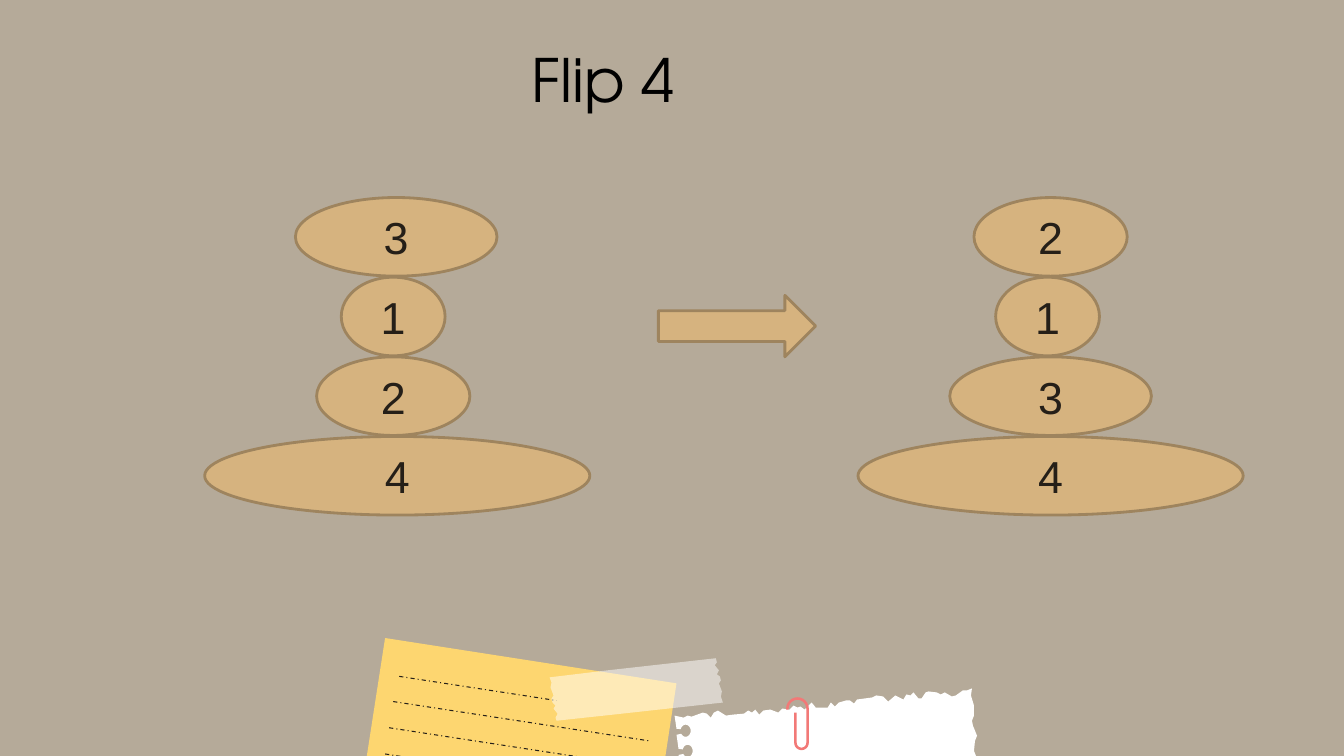
from math import cos, radians, sin

from lxml import etree
from pptx import Presentation
from pptx.dml.color import RGBColor
from pptx.enum.dml import MSO_LINE
from pptx.enum.shapes import MSO_CONNECTOR, MSO_SHAPE
from pptx.enum.text import MSO_ANCHOR, PP_ALIGN
from pptx.oxml.ns import qn
from pptx.util import Inches, Pt

ELLIPSE, RIGHT_ARROW = MSO_SHAPE.OVAL, MSO_SHAPE.RIGHT_ARROW
STRAIGHT, DASH_DOT = MSO_CONNECTOR.STRAIGHT, MSO_LINE.DASH_DOT
CENTER, MIDDLE = PP_ALIGN.CENTER, MSO_ANCHOR.MIDDLE

COLORS = {name: RGBColor.from_string(value) for name, value in {
    "background": "B5AA99", "note": "FDD670", "paper": "FFFFFF", "clip": "F27977",
    "pancake": "D6B37F", "crust": "9E845E", "ink": "251F18", "title": "000000",
}.items()}

presentation = Presentation()
presentation.slide_width = Inches(13.33)
presentation.slide_height = Inches(7.5)
slide = presentation.slides.add_slide(presentation.slide_layouts[6])
slide.background.fill.solid()
slide.background.fill.fore_color.rgb = COLORS["background"]
shapes = slide.shapes


def add_outline(points, fill=None, close=True):
    corners = [(Inches(x), Inches(y)) for x, y in points]
    builder = shapes.build_freeform(*corners[0])
    builder.add_line_segments(corners[1:], close=close)
    shape = builder.convert_to_shape()
    shape.shadow.inherit = False
    shape.line.fill.background()
    if fill:
        shape.fill.solid()
        shape.fill.fore_color.rgb = COLORS[fill]
    else:
        shape.fill.background()
    return shape


def write_text(shape, text, font="Arial", size=32, color="ink", anchor=MIDDLE):
    frame = shape.text_frame
    frame.word_wrap = True
    frame.vertical_anchor = anchor
    paragraph = frame.paragraphs[0]
    paragraph.alignment = CENTER
    run = paragraph.add_run()
    run.text = text
    run.font.name = font
    run.font.size = Pt(size)
    run.font.color.rgb = COLORS[color]


# Yellow note with dashed rules
add_outline([(3.82, 6.33), (6.71, 6.78), (6.5, 8.16), (3.58, 7.88)], fill="note")
note_rules = [(3.96, 6.71, 5.52, 6.95)]
note_rules += [(3.9 - 0.04 * i, 6.96 + 0.26 * i, 6.44 - 0.04 * i, 7.35 + 0.26 * i)
               for i in range(3)]
for ends in note_rules:
    rule = shapes.add_connector(STRAIGHT, *[Inches(value) for value in ends])
    rule.line.color.rgb = COLORS["ink"]
    rule.line.width = Pt(0.75)
    rule.line.dash_style = DASH_DOT
    etree.SubElement(rule._element.spPr, qn("a:effectLst"))

# Translucent tape
tape = add_outline([
    (7.13, 6.65), (7.09, 6.6), (7.11, 6.57), (7.1, 6.53), (6.03, 6.65), (5.45, 6.72),
    (5.47, 6.77), (5.46, 6.82), (5.49, 6.9), (5.47, 6.93), (5.48, 6.97), (5.51, 7),
    (5.49, 7.03), (5.53, 7.08), (5.51, 7.12), (5.52, 7.15), (6.08, 7.09), (7.17, 6.97),
    (7.15, 6.91), (7.16, 6.86), (7.13, 6.78), (7.15, 6.75), (7.14, 6.71), (7.11, 6.69),
], fill="paper")
tape_color = tape._element.spPr.find(qn("a:solidFill"))[0]
etree.SubElement(tape_color, qn("a:alpha"), val="50000")

# Torn paper: right edge, ragged top, punched left edge
right_edge = [
    (9.74, 7.95), (9.74, 7.79), (9.7, 7.75), (9.74, 7.69), (9.69, 7.65), (9.68, 7.6),
    (9.7, 7.55), (9.66, 7.45), (9.67, 7.35), (9.69, 7.3), (9.65, 7.2), (9.64, 7.15),
    (9.66, 7.1), (9.66, 7), (9.63, 6.9), (9.64, 6.83),
]
top_edge = [
    (9.59, 6.85), (9.55, 6.85), (9.48, 6.9), (9.44, 6.91), (9.37, 6.87), (9.33, 6.89),
    (9.29, 6.87), (9.21, 6.86), (9.18, 6.87), (9.14, 6.93), (9.11, 6.93), (9.06, 6.87),
    (9.03, 6.9), (8.99, 6.89), (8.96, 6.94), (8.88, 6.9), (8.81, 6.96), (8.76, 6.91),
    (8.69, 6.9), (8.65, 6.92), (8.5, 6.94), (8.47, 6.98), (8.43, 6.95), (8.39, 6.95),
    (8.32, 6.97), (8.28, 7.01), (8.24, 6.97), (8.21, 7.02), (8.09, 7.02), (8.05, 6.97),
    (7.98, 7.04), (7.94, 7.01), (7.91, 7.02), (7.87, 7), (7.83, 7.04), (7.76, 7.03),
    (7.72, 7.07), (7.64, 7.04), (7.57, 7.05), (7.53, 7.09), (7.49, 7.04), (7.46, 7.07),
    (7.42, 7.05), (7.38, 7.08), (7.27, 7.09), (7.2, 7.1), (7.12, 7.05), (7.08, 7.07),
    (7.05, 7.12), (7.01, 7.08), (6.97, 7.07), (6.86, 7.11), (6.82, 7.1), (6.78, 7.12),
    (6.69, 7.1),
]
left_edge = []
for hole in range(5):
    x, y = 6.71 + 0.02 * hole, 7.23 + 0.2 * hole
    left_edge.append((x, y))
    left_edge += [(x + 0.09 + 0.05 * cos(radians(angle)), y + 0.02 + 0.06 * sin(radians(angle)))
                  for angle in range(195, 511, 15)]
    left_edge.append((x, y + 0.06))
add_outline(right_edge + top_edge + left_edge + [(6.8, 8.23)], fill="paper")

# Paper clip
top_bend = [(7.91 + 0.1 * cos(radians(angle)), 7.03 + 0.1 * sin(radians(angle)))
            for angle in range(180, 361, 15)]
bottom_bend = [(7.95 + 0.06 * cos(radians(angle)), 7.37 + 0.06 * sin(radians(angle)))
               for angle in range(0, 181, 15)]
clip = add_outline([(7.81, 7.04)] + top_bend + bottom_bend + [(7.89, 7.07)], close=False)
clip.line.color.rgb = COLORS["clip"]
clip.line.width = Pt(1.8)

# Title
title = shapes.add_textbox(Inches(3.73), Inches(0.37), Inches(4.51), Inches(0.82))
write_text(title, "Flip 4", font="TeX Gyre Adventor", size=42.7, color="title",
           anchor=MSO_ANCHOR.TOP)

# Arrow and the two pancake stacks, each listed from top to bottom
PANCAKE_WIDTHS = {"1": 1.03, "2": 1.52, "3": 2, "4": 3.82}
stacks = [
    [("3", 3.93), ("1", 3.9), ("2", 3.9), ("4", 3.94)],
    [("2", 10.42), ("1", 10.39), ("3", 10.42), ("4", 10.42)],
]
pieces = [(RIGHT_ARROW, "", 6.53, 2.93, 1.56, 0.61)]
for stack in stacks:
    for row, (number, center) in enumerate(stack):
        width = PANCAKE_WIDTHS[number]
        pieces.append((ELLIPSE, number, center - width / 2, 1.96 + 0.79 * row, width, 0.78))
for kind, number, *box in pieces:
    shape = shapes.add_shape(kind, *[Inches(value) for value in box])
    shape.shadow.inherit = False
    shape.fill.solid()
    shape.fill.fore_color.rgb = COLORS["pancake"]
    shape.line.color.rgb = COLORS["crust"]
    shape.line.width = Pt(2)
    if number:
        write_text(shape, number)

presentation.save("out.pptx")
